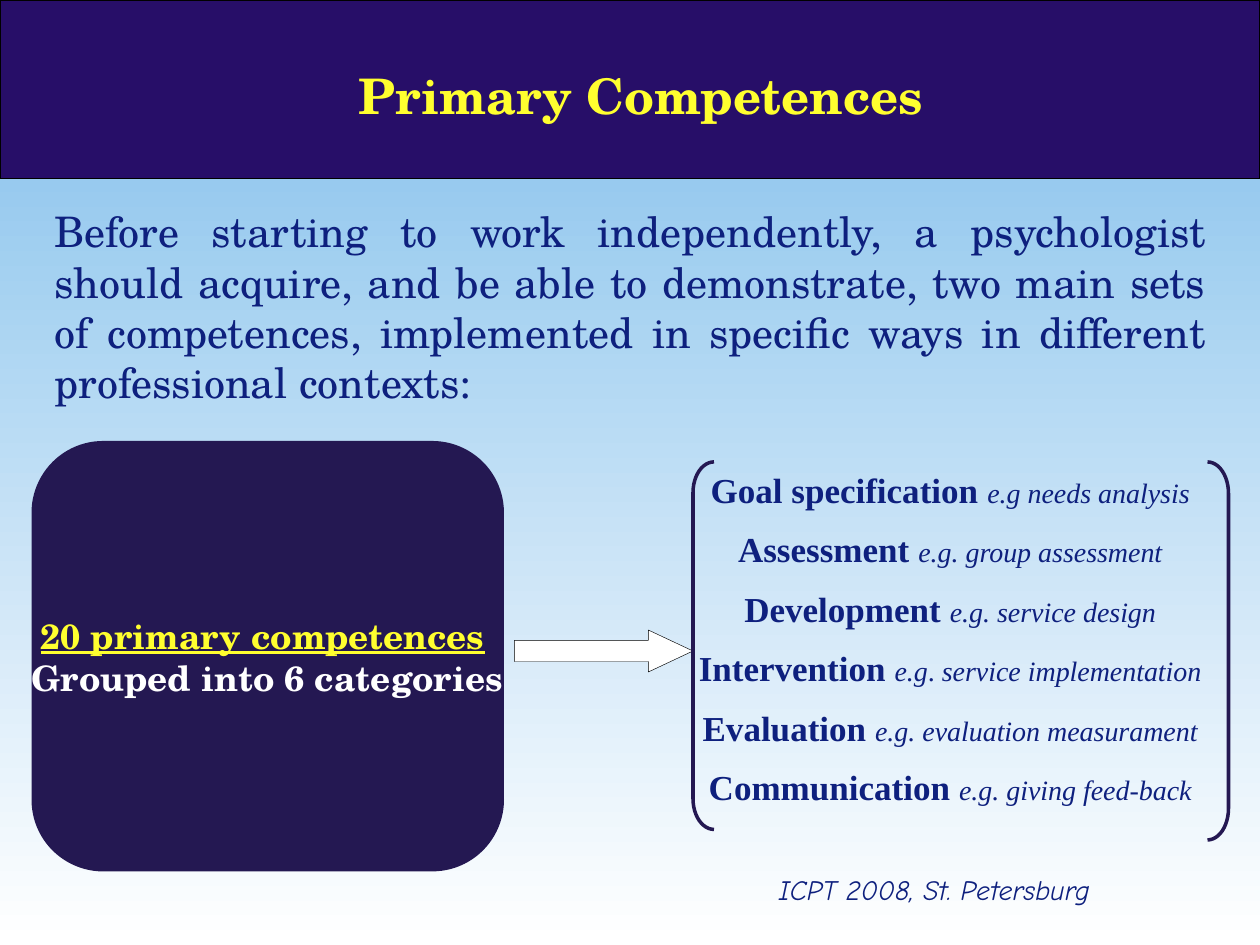
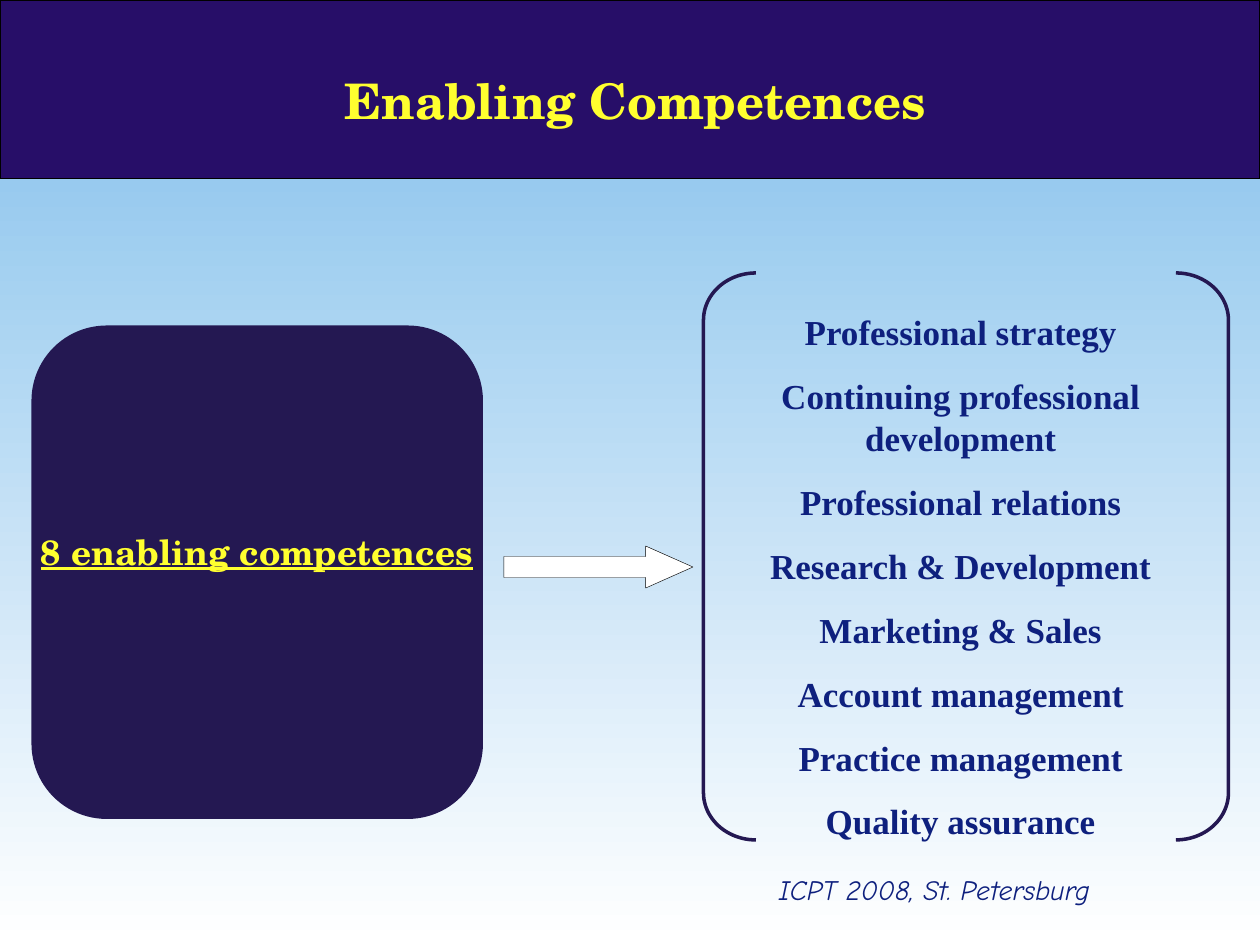
"""Builds two slides on primary and enabling competences."""
from dataclasses import dataclass
from typing import Any, NamedTuple, Optional

from pptx import Presentation
from pptx import util as u
from pptx.dml.color import RGBColor
from pptx.enum import shapes, text

EMU_PER_PX = 7620
SLIDE_WIDTH, SLIDE_HEIGHT = 1200, 900


@dataclass(frozen=True)
class Theme:
    sky: str = "80BEEB"
    white: str = "FFFFFF"
    black: str = "000000"
    band: str = "270E68"
    panel: str = "241852"
    accent: str = "FFFF2F"
    ink: str = "0E207E"
    display: str = "TeX Gyre Schola"
    serif: str = "Times New Roman"
    casual: str = "Comic Neue"
    title_size: int = 28
    intro_size: int = 24
    main_size: int = 20
    note_size: int = 16


THEME = Theme()


class Area(NamedTuple):
    left: int
    top: int
    width: int
    height: int


class Span(NamedTuple):
    words: str
    size: int = THEME.main_size
    font: str = THEME.serif
    color: str = THEME.ink
    bold: bool = False
    italic: bool = False
    underline: bool = False


Line = list[Span]


@dataclass(frozen=True)
class CompetenceSlide:
    title: str
    title_area: Area
    panel_area: Area
    panel_lines: list[Line]
    arrow_area: Area
    list_area: Area
    list_lines: list[Line]
    list_gap: float
    left_bracket: Area
    right_bracket: Area
    intro: Optional[str] = None
    panel_bottom_inset: int = 6


def px(length: int) -> u.Emu:
    return u.Emu(length * EMU_PER_PX)


def place(area: Area) -> list[u.Emu]:
    return [px(length) for length in area]


def rgb(color: str) -> RGBColor:
    return RGBColor.from_string(color)


def heading(words: str, **format: Any) -> Span:
    return Span(words, font=THEME.display, bold=True, **format)


def topic(words: str) -> Span:
    return Span(words, bold=True)


def note(words: str, italic: bool = True) -> Span:
    return Span(words, size=THEME.note_size, italic=italic)


def add_span(para: Any, words: str, *, size: int, font: str, color: str,
             bold: bool, italic: bool, underline: bool) -> None:
    span = para.add_run()
    span.text = words
    span.font.size = u.Pt(size)
    span.font.name = font
    span.font.color.rgb = rgb(color)
    span.font.bold = bold
    span.font.italic = italic
    span.font.underline = underline


def write(box: Any, lines: list[Line], *, align: Any = text.PP_ALIGN.CENTER,
          anchor: Any = text.MSO_ANCHOR.TOP, gap: float = 0,
          wrap: bool = True, bottom_inset: int = 6) -> None:
    frame = box.text_frame
    frame.word_wrap = wrap
    frame.vertical_anchor = anchor
    frame.margin_left = frame.margin_right = px(12)
    frame.margin_top = px(6)
    frame.margin_bottom = px(bottom_inset)
    for index, line in enumerate(lines):
        para = frame.add_paragraph() if index else frame.paragraphs[0]
        para.alignment = align
        para.space_before = u.Pt(gap)
        for span in line:
            format = span._asdict()
            add_span(para, format.pop("words"), **format)


def add_text(page: Any, area: Area, lines: list[Line], **format: Any) -> None:
    write(page.shapes.add_textbox(*place(area)), lines, **format)


def add_figure(page: Any, kind: Any, area: Area, *, fill: Optional[str] = None,
               line: Optional[str] = None, weight: float = 0) -> Any:
    figure = page.shapes.add_shape(kind, *place(area))
    figure.shadow.inherit = False
    if fill:
        figure.fill.solid()
        figure.fill.fore_color.rgb = rgb(fill)
    else:
        figure.fill.background()
    if line:
        figure.line.color.rgb = rgb(line)
        figure.line.width = u.Pt(weight)
    else:
        figure.line.fill.background()
    return figure


def add_bracket(page: Any, kind: Any, area: Area) -> None:
    bracket = add_figure(page, kind, area, line=THEME.panel, weight=2)
    bracket.adjustments[0] = area.height / 12 / area.width


def add_arrow(page: Any, area: Area) -> None:
    arrow = add_figure(page, shapes.MSO_SHAPE.RIGHT_ARROW, area,
                       fill=THEME.white, line=THEME.black, weight=0.25)
    arrow.adjustments[1] = area.width / 4 / area.height


def paint_background(page: Any) -> None:
    fill = page.background.fill
    fill.gradient()
    fill.gradient_angle = 270
    for stop, color in zip(fill.gradient_stops, (THEME.sky, THEME.white)):
        stop.color.rgb = rgb(color)


def add_frame(page: Any, title: str, title_area: Area) -> None:
    paint_background(page)
    add_figure(page, shapes.MSO_SHAPE.RECTANGLE, Area(0, 0, SLIDE_WIDTH, 170),
               fill=THEME.band, line=THEME.black, weight=0.75)
    add_text(page, title_area,
             [[heading(title, size=THEME.title_size, color=THEME.accent)]],
             anchor=text.MSO_ANCHOR.MIDDLE)
    footer = Span("ICPT 2008, St. Petersburg", size=THEME.note_size,
                  font=THEME.casual, italic=True)
    add_text(page, Area(730, 825, 430, 45), [[footer]],
             align=text.PP_ALIGN.LEFT)


def add_competence_slide(deck: Any, content: CompetenceSlide) -> None:
    page = deck.slides.add_slide(deck.slide_layouts[6])
    add_frame(page, content.title, content.title_area)
    if content.intro:
        intro = Span(content.intro, size=THEME.intro_size, font=THEME.display)
        add_text(page, Area(40, 190, 1120, 204), [[intro]],
                 align=text.PP_ALIGN.JUSTIFY, gap=15)
    panel = add_figure(page, shapes.MSO_SHAPE.FLOWCHART_ALTERNATE_PROCESS,
                       content.panel_area, fill=THEME.panel)
    write(panel, content.panel_lines, anchor=text.MSO_ANCHOR.MIDDLE,
          wrap=False, bottom_inset=content.panel_bottom_inset)
    add_text(page, content.list_area, content.list_lines, gap=content.list_gap)
    add_arrow(page, content.arrow_area)
    add_bracket(page, shapes.MSO_SHAPE.LEFT_BRACKET, content.left_bracket)
    add_bracket(page, shapes.MSO_SHAPE.RIGHT_BRACKET, content.right_bracket)


PRIMARY = CompetenceSlide(
    title="Primary Competences",
    title_area=Area(150, 30, 920, 120),
    intro="Before starting to work independently, a psychologist should "
          "acquire, and be able to demonstrate, two main sets of competences, "
          "implemented in specific ways in different professional contexts:",
    panel_area=Area(30, 420, 450, 410),
    panel_lines=[
        [heading("20 primary competences", color=THEME.accent, underline=True),
         heading(" ", color=THEME.white)],
        [heading("Grouped into 6 categories", color=THEME.white)],
    ],
    arrow_area=Area(490, 600, 170, 40),
    list_area=Area(640, 440, 530, 460),
    list_lines=[
        [topic("Goal specification "), note("e.g needs analysis")],
        [topic("Assessment "), note("e.g. group assessment")],
        [topic("Development "), note("e.g. service design")],
        [topic("Intervention "), note("e.g"), note(". ", italic=False),
         note("service implementation")],
        [topic("Evaluation "), note("e.g. evaluation measurament")],
        [topic("Communication "), note("e.g. giving feed-back")],
    ],
    list_gap=10,
    left_bracket=Area(660, 440, 20, 350),
    right_bracket=Area(1150, 440, 20, 360),
)

ENABLING = CompetenceSlide(
    title="Enabling Competences",
    title_area=Area(280, 40, 650, 110),
    panel_area=Area(30, 310, 430, 470),
    panel_lines=[[heading("8 enabling competences", color=THEME.accent,
                          underline=True)]],
    panel_bottom_inset=46,
    arrow_area=Area(480, 520, 180, 40),
    list_area=Area(650, 290, 530, 518),
    list_lines=[[topic(words)] for words in (
        "Professional strategy", "Continuing professional development",
        "Professional relations", "Research & Development",
        "Marketing & Sales", "Account management",
        "Practice management", "Quality assurance")],
    list_gap=12.5,
    left_bracket=Area(670, 260, 50, 540),
    right_bracket=Area(1120, 260, 50, 540),
)


def main() -> None:
    deck = Presentation()
    deck.slide_width, deck.slide_height = px(SLIDE_WIDTH), px(SLIDE_HEIGHT)
    for content in (PRIMARY, ENABLING):
        add_competence_slide(deck, content)
    deck.save("out.pptx")


if __name__ == "__main__":
    main()
